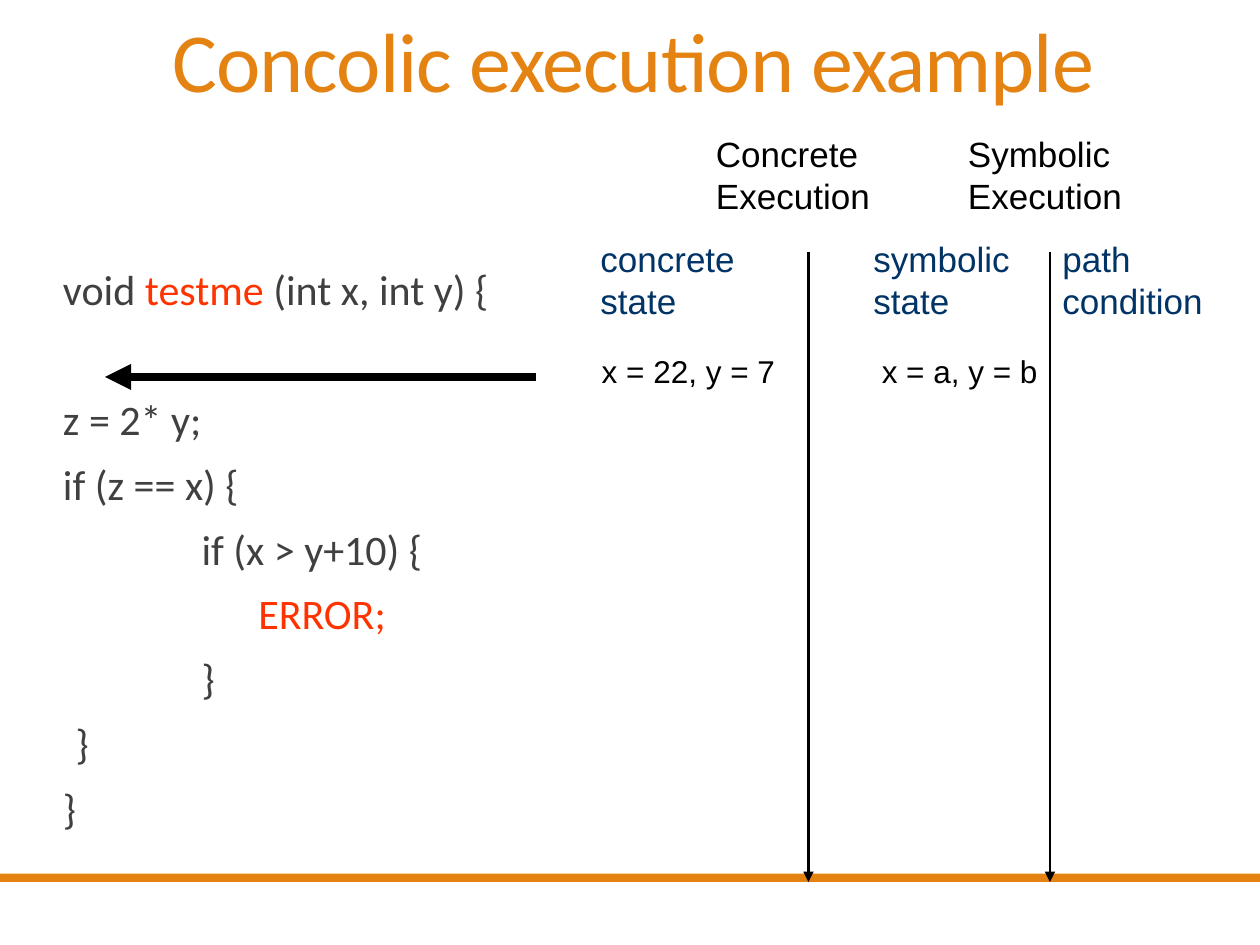
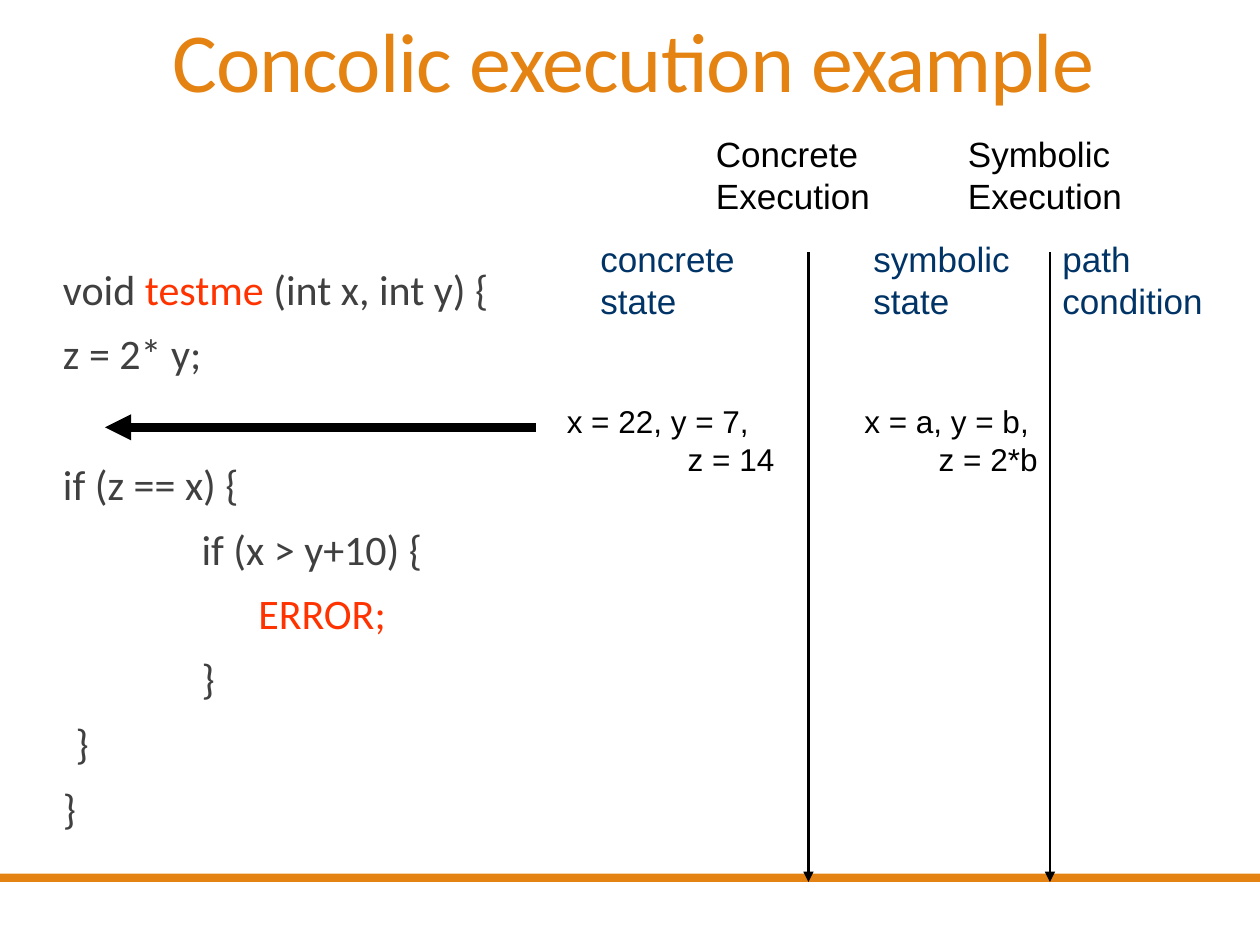
from dataclasses import dataclass

import lxml.etree
import pptx
import pptx.dml.color
import pptx.enum.shapes
import pptx.enum.text
import pptx.oxml.ns
import pptx.util


@dataclass(frozen=True)
class Theme:
    accent: str = "E48312"
    code: str = "404040"
    highlight: str = "FF3300"
    heading: str = "003366"
    ink: str = "000000"
    title_font: str = "Calibri"
    label_font: str = "Arial"
    title_size: int = 48
    code_size: int = 24
    label_size: int = 20
    state_size: int = 18
    space_before: float = 12
    space_after: float = 2
    code_pitch: float = 37.4


THEME = Theme()
ALIGN = pptx.enum.text.PP_ALIGN
COLUMNS, ROWS = 120, 90
CELL = pptx.util.Inches(10) // COLUMNS

CODE = [
    (0, [("void ", THEME.code), ("testme ", THEME.highlight), ("(int x, int y) {", THEME.code)]),
    (0, [("z = 2* y;", THEME.code)]),
    (0, [("if (z == x) {", THEME.code)]),
    (1.1, [("if (x > y+10) {", THEME.code)]),
    (1.55, [("ERROR;", THEME.highlight)]),
    (1.1, [("}", THEME.code)]),
    (0.1, [("}", THEME.code)]),
    (0, [("}", THEME.code)]),
]

HEADINGS = [
    ("Concrete Execution", 67, 12, 20, THEME.ink),
    ("Symbolic Execution", 91, 12, 20, THEME.ink),
    ("concrete state", 56, 22, 18, THEME.heading),
    ("symbolic state", 82, 22, 18, THEME.heading),
    ("path condition", 100, 22, 20, THEME.heading),
]


def cells(*counts):
    return [round(count * CELL) for count in counts]


def color(value):
    return pptx.dml.color.RGBColor.from_string(value)


def style(font, name, size, value=None):
    font.name = name
    font.size = pptx.util.Pt(size)
    if value:
        font.color.rgb = color(value)


def indent(paragraph, inches):
    properties = paragraph._p.get_or_add_pPr()
    properties.set("marL", str(pptx.util.Inches(inches)))
    properties.set("indent", "0")


def add_text_frame(shapes, left, top, width, height):
    frame = shapes.add_textbox(*cells(left, top, width, height)).text_frame
    frame.word_wrap = True
    return frame


def next_paragraph(frame, index):
    return frame.add_paragraph() if index else frame.paragraphs[0]


def add_arrow(shapes, start, end, width):
    arrow = shapes.add_connector(
        pptx.enum.shapes.MSO_CONNECTOR.STRAIGHT, *cells(*start, *end))
    arrow.line.color.rgb = color(THEME.ink)
    arrow.line.width = pptx.util.Pt(width)
    tag = pptx.oxml.ns.qn
    lxml.etree.SubElement(arrow.line._get_or_add_ln(), tag("a:tailEnd"), type="triangle")
    lxml.etree.SubElement(arrow._element.spPr, tag("a:effectLst"))


def add_footer_band(slide):
    band = slide.shapes.add_shape(
        pptx.enum.shapes.MSO_SHAPE.RECTANGLE, *cells(0, 83.2, COLUMNS, 0.8))
    band.shadow.inherit = False
    band.fill.solid()
    band.fill.fore_color.rgb = color(THEME.accent)
    band.line.fill.background()


def add_title(slide, text):
    frame = add_text_frame(slide.shapes, 10.8, 0, 99, 11)
    frame.vertical_anchor = pptx.enum.text.MSO_ANCHOR.BOTTOM
    paragraph = frame.paragraphs[0]
    paragraph.alignment = ALIGN.CENTER
    paragraph.line_spacing = 0.85
    style(paragraph.font, THEME.title_font, THEME.title_size, THEME.accent)
    run = paragraph.add_run()
    run.text = text
    run.font._element.set("spc", "-50")


def add_code(slide, executed):
    frame = add_text_frame(slide.shapes, 6, 25.4, 53, 57.5)
    frame.margin_left = frame.margin_right = 0
    for index, (inches, pieces) in enumerate(CODE):
        paragraph = next_paragraph(frame, index)
        indent(paragraph, inches)
        gap = THEME.code_pitch if index == executed else 0
        paragraph.line_spacing = 0.8
        paragraph.space_before = pptx.util.Pt(THEME.space_before + gap)
        paragraph.space_after = pptx.util.Pt(THEME.space_after)
        style(paragraph.font, THEME.title_font, THEME.code_size)
        for text, value in pieces:
            run = paragraph.add_run()
            run.text = text
            run.font.color.rgb = color(value)


def add_execution_columns(slide):
    shapes = slide.shapes.add_group_shape().shapes
    for column in (77, 100):
        add_arrow(shapes, (column, 24), (column, 84), 1.5)
    for text, left, top, width, value in HEADINGS:
        paragraph = add_text_frame(shapes, left, top, width, 9.2).paragraphs[0]
        paragraph.text = text
        style(paragraph.font, THEME.label_font, THEME.label_size, value)


def add_state(shapes, lines, left, top, width):
    frame = add_text_frame(shapes, left, top, width, 1.2 + 3.6 * len(lines))
    for index, (text, inches) in enumerate(lines):
        paragraph = next_paragraph(frame, index)
        paragraph.text = text
        style(paragraph.font, THEME.label_font, THEME.state_size, THEME.ink)
        if inches is None:
            paragraph.alignment = ALIGN.RIGHT
        else:
            paragraph.alignment = ALIGN.LEFT
            indent(paragraph, inches)


def add_step(slide, top, concrete, symbolic):
    shapes = slide.shapes.add_group_shape().shapes
    add_arrow(shapes, (51, top + 3), (10, top + 3), 5)
    add_state(shapes, concrete, 51, top, 24)
    add_state(shapes, symbolic, 79, top, 21)


def main():
    presentation = pptx.Presentation()
    presentation.slide_width, presentation.slide_height = cells(COLUMNS, ROWS)
    steps = [
        (1, 32.9, [("x = 22, y = 7", None)], [("x = a, y = b", None)]),
        (2, 37.7, [("x = 22, y = 7,", 0.15), ("z = 14", 1.11)],
         [("x = a, y = b, ", None), ("z = 2*b", None)]),
    ]
    for executed, top, concrete, symbolic in steps:
        slide = presentation.slides.add_slide(presentation.slide_layouts[6])
        add_footer_band(slide)
        add_code(slide, executed)
        add_execution_columns(slide)
        add_step(slide, top, concrete, symbolic)
        add_title(slide, "Concolic execution example")
    presentation.save("out.pptx")


main()
